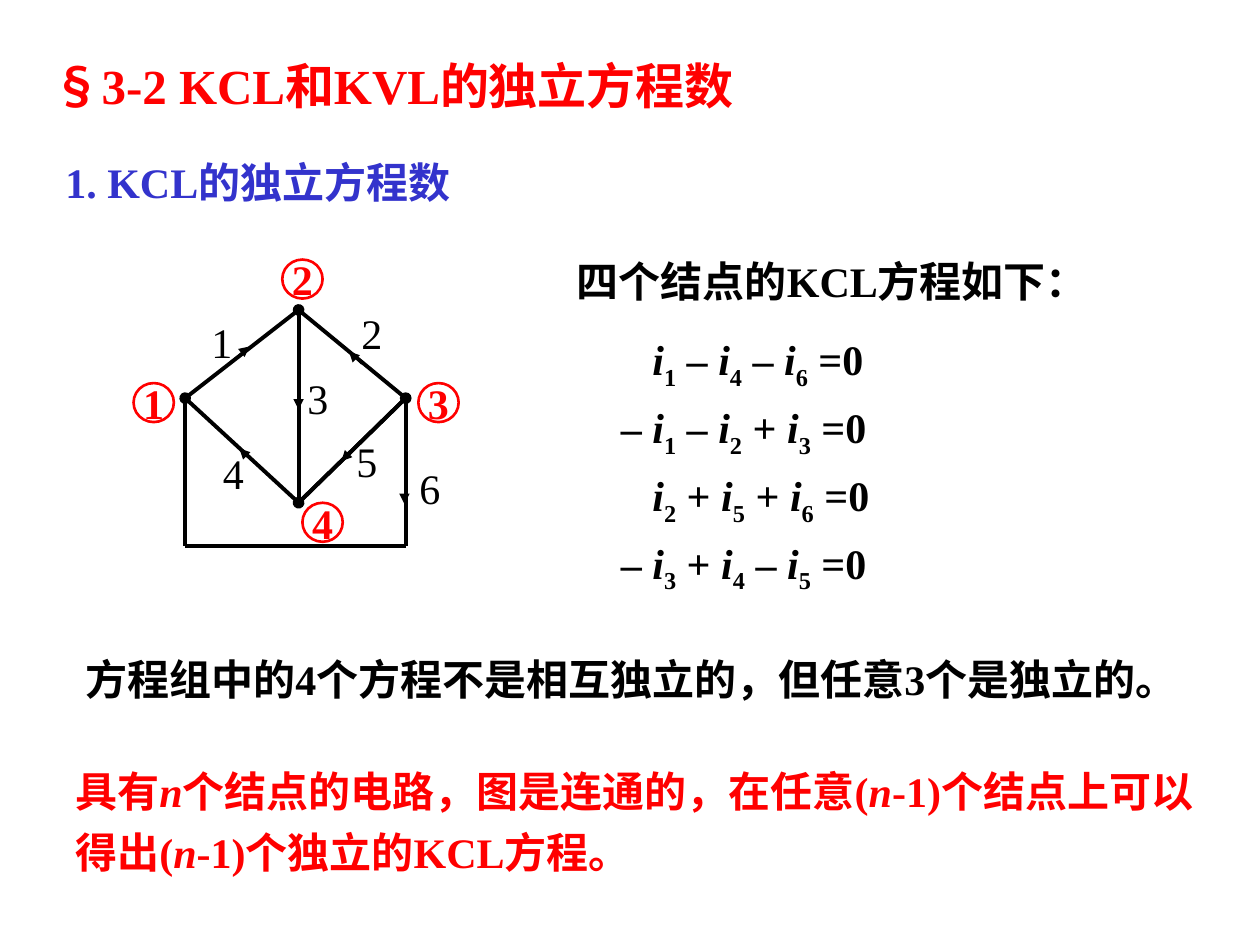
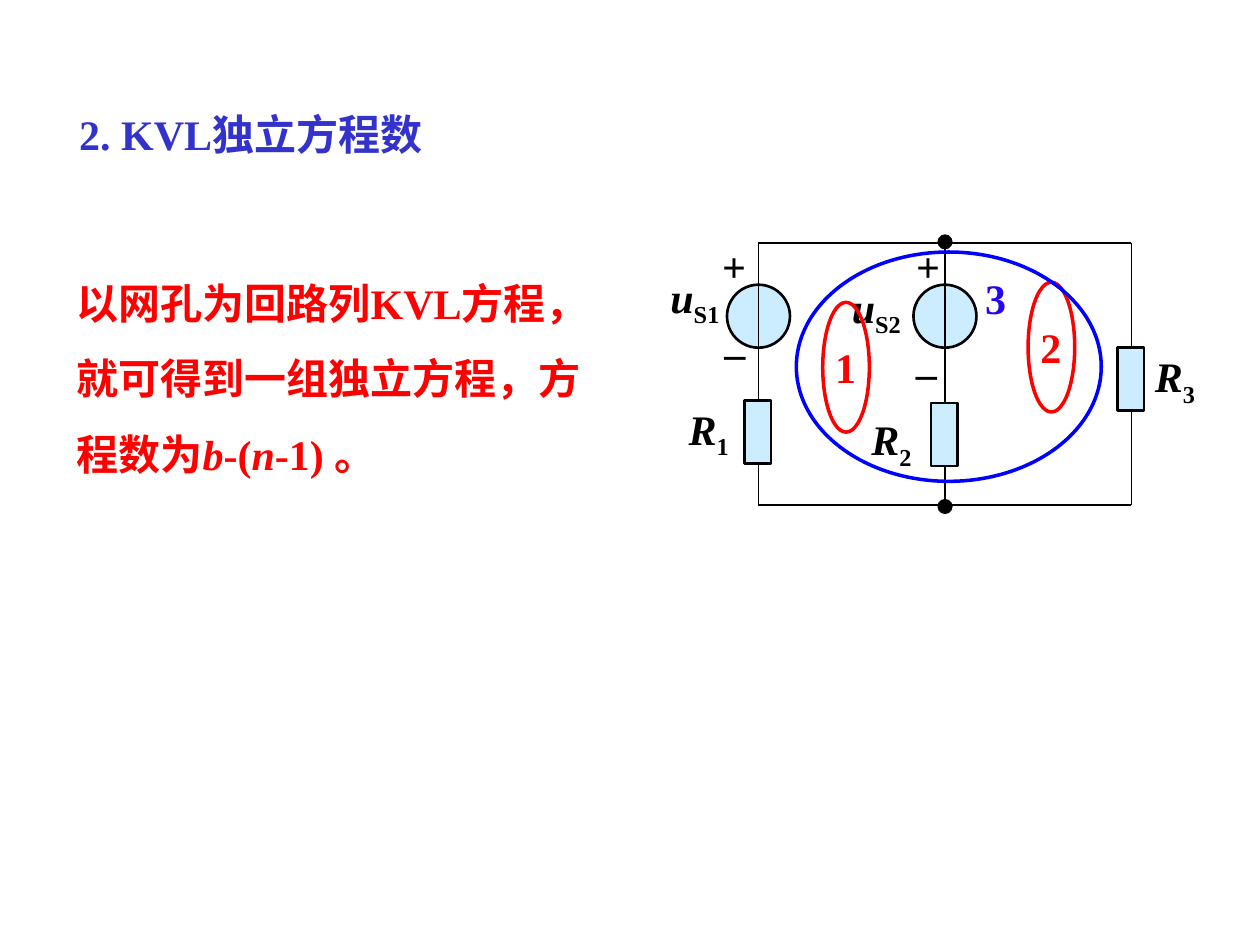
from pptx import Presentation
from pptx import util as u
from pptx.dml import color
from pptx.enum import shapes, text
from pptx.oxml import ns
from lxml import etree

PX = 9144
LATIN, CJK = "Times New Roman", "Noto Sans CJK SC"
BLACK, RED, HEADING, BLUE, VIOLET, PALE = (
    "000000", "FF0000", "3333CC", "0000FF", "2306F6", "CCECFF")
CENTER, MIDDLE = text.PP_ALIGN.CENTER, text.MSO_ANCHOR.MIDDLE
OVAL, RECTANGLE, ARC = (
    shapes.MSO_SHAPE.OVAL, shapes.MSO_SHAPE.RECTANGLE, shapes.MSO_SHAPE.ARC)


def rgb(value):
    """Turn a hex string into a colour."""
    return color.RGBColor.from_string(value)


def lengths(*values):
    """Turn px into EMU."""
    return [u.Emu(round(value * PX)) for value in values]


def add_run(paragraph, content, style="", size=24, ink=BLACK, bold=True, latin=LATIN):
    """Add one run; style is empty, italic or sub."""
    run = paragraph.add_run()
    run.text = content
    font = run.font
    font.size, font.name, font.bold = u.Pt(size), latin, bold
    font.italic = style == "italic"
    font.color.rgb = rgb(ink)
    properties = font._element
    etree.SubElement(properties, ns.qn("a:ea")).set("typeface", CJK)
    if style == "sub":
        properties.set("baseline", "-25000")


def add_text(slide, box, paragraphs, before=0, spacing=None, wrap=True,
             centered=False, indents=(), **font):
    """Add a text box whose paragraphs are lists of (content, style) runs."""
    frame = slide.shapes.add_textbox(*lengths(*box)).text_frame
    frame.word_wrap = wrap
    frame.auto_size = text.MSO_AUTO_SIZE.SHAPE_TO_FIT_TEXT
    if centered:
        frame.vertical_anchor = MIDDLE
    for number, runs in enumerate(paragraphs):
        paragraph = frame.add_paragraph() if number else frame.paragraphs[0]
        paragraph.space_before = u.Pt(before)
        if spacing:
            paragraph.line_spacing = spacing
        if centered:
            paragraph.alignment = CENTER
        properties = paragraph._p.get_or_add_pPr()
        properties.set("hangingPunct", "0")
        if indents and indents[number]:
            properties.set("marL", str(indents[number] * PX))
            properties.set("indent", "0")
        for content, style in runs:
            add_run(paragraph, content, style, **font)


def add_line(slide, start, end, width, head=None, tail=None):
    """Add a black straight line with optional end marks."""
    line = slide.shapes.add_connector(
        shapes.MSO_CONNECTOR.STRAIGHT, *lengths(*start, *end))
    line.line.color.rgb = rgb(BLACK)
    line.line.width = u.Pt(width)
    outline = line.line._get_or_add_ln()
    for tag, kind in (("a:headEnd", head), ("a:tailEnd", tail)):
        if kind:
            etree.SubElement(outline, ns.qn(tag)).set("type", kind)
    etree.SubElement(line._element.spPr, ns.qn("a:effectLst"))


def add_shape(slide, kind, box, fill=None, ink=None, width=1.5):
    """Add a preset shape with the given fill and outline, without a shadow."""
    shape = slide.shapes.add_shape(kind, *lengths(*box))
    shape.shadow.inherit = False
    if fill:
        shape.fill.solid()
        shape.fill.fore_color.rgb = rgb(fill)
    else:
        shape.fill.background()
    if ink:
        shape.line.color.rgb = rgb(ink)
        shape.line.width = u.Pt(width)
    else:
        shape.line.fill.background()
    return shape


def add_heading(slide, box, content):
    """Add a numbered section heading."""
    add_text(slide, box, [[(content, "")]], ink=HEADING)


def add_title(slide, box, content):
    """Add the chapter title after its section sign."""
    frame = slide.shapes.add_textbox(*lengths(*box)).text_frame
    frame.word_wrap = True
    paragraph = frame.paragraphs[0]
    add_run(paragraph, "§", size=28, ink=RED, latin=CJK)
    add_run(paragraph, content, size=28, ink=RED)


def draw_graph(slide, box):
    """Draw the directed graph with four nodes and six branches."""
    left, top = box

    def at(x, y):
        return left + x, top + y

    west, north, east, south = at(41, 110), at(131, 40), at(216, 110), at(131, 193)
    corners = at(41, 227), at(216, 227)
    branches = [(north, west, "oval", "oval"), (north, south, None, None),
                (west, south, None, "oval"), (north, east, None, None),
                (east, south, None, None), (west, corners[0], None, None),
                (*corners, None, None), (east, corners[1], "oval", None),
                (south, east, None, None)]
    for start, end, head, tail in branches:
        add_line(slide, start, end, 2.25, head, tail)

    arrows = [(181, 83, 171, 73), (77, 81, 92, 69), (131, 83, 131, 119),
              (94, 160, 84, 150), (184, 140, 165, 160), (215, 163, 215, 194)]
    for x1, y1, x2, y2 in arrows:
        add_line(slide, at(x1, y1), at(x2, y2), 0.75, tail="triangle")

    labels = [(52, 40, 31), (171, 33, 42), (128, 85, 35),
              (61, 144, 36), (167, 135, 42), (217, 156, 44)]
    for number, (x, y, width) in enumerate(labels, 1):
        add_text(slide, (*at(x, y), width, 50), [[(str(number), "")]], bold=False)

    for number, place in enumerate([(0, 98), (118, 0), (226, 98), (134, 193)], 1):
        node = add_shape(slide, OVAL, (*at(*place), 32, 31), ink=RED)
        frame = node.text_frame
        frame.word_wrap, frame.vertical_anchor = False, MIDDLE
        frame.paragraphs[0].alignment = CENTER
        add_run(frame.paragraphs[0], str(number), ink=RED)


def add_equations(slide, box, equations):
    """List current sums, each made of (sign, branch) terms equal to zero."""
    paragraphs = []
    for terms in equations:
        runs = []
        for sign, branch in terms:
            prefix = f" {sign} " if runs else f"{sign} ".lstrip()
            if prefix:
                runs.append((prefix, ""))
            runs += [("i", "italic"), (str(branch), "sub")]
        paragraphs.append(runs + [(" =0", "")])
    indents = [0 if terms[0][0] else 25 for terms in equations]
    add_text(slide, box, paragraphs, before=6, indents=indents)


def add_loop(slide, box, angles, ink, number, label, label_ink):
    """Draw an open elliptical loop between two angles, with its number."""
    arc = add_shape(slide, ARC, box, ink=ink, width=2)
    for index, angle in enumerate(angles):
        arc.adjustments[index] = angle * 0.6
    add_text(slide, (*label, 36, 50), [[(number, "")]],
             wrap=False, centered=True, ink=label_ink)


def draw_circuit(slide, box):
    """Draw two sources, three resistors and the three loops."""
    left, top = box

    def at(x, y):
        return left + x, top + y

    columns, height = (0, 148, 296), 208
    for x in columns[:2]:
        add_shape(slide, OVAL, (*at(x - 25, 33), 50, 50), fill=PALE, ink=BLACK)
    for x in columns:
        add_line(slide, at(x, 0), at(x, height), 1)
    for y in (0, height):
        add_line(slide, at(columns[0], y), at(columns[-1], y), 1)
    for y in (-1, height + 1):
        add_shape(slide, OVAL, (*at(columns[1] - 6, y - 6), 12, 12), fill=BLACK)
    for x, y in zip(columns, (125, 127, 83)):
        add_shape(slide, RECTANGLE, (*at(x - 11, y), 21, 50), fill=PALE, ink=BLACK)

    for sign, x, y, width in [("+", -39, -7, 39), ("_", -37, 50, 36),
                              ("+", 115, -7, 39), ("_", 115, 66, 36)]:
        add_text(slide, (*at(x, y), width, 50), [[(sign, "")]],
                 before=15, wrap=False, centered=True)
    for letter, index, x, y in [("R", "1", -79, 122), ("u", "S1", -90, 17),
                                ("u", "S2", 54, 25), ("R", "2", 66, 130),
                                ("R", "3", 291, 80)]:
        add_text(slide, (*at(x, y), 79, 56), [[(letter, "italic"), (index, "sub")]],
                 before=15, centered=True)

    for number, x, y in [("1", 51, 47), ("2", 214, 31)]:
        add_loop(slide, (*at(x, y), 37, 103), (-90, -104), RED,
                 number, at(x, y + 26), RED)
    add_loop(slide, (*at(30, 7), 242, 182), (-78, -90), BLUE,
             "3", at(170, 18), VIOLET)


def build_kcl(slide):
    """Build the slide on independent KCL equations."""
    add_title(slide, (32, 39, 634, 56), "3-2 KCL和KVL的独立方程数")
    add_heading(slide, (42, 119, 411, 50), "1. KCL的独立方程数")
    draw_graph(slide, (106, 206))
    add_text(slide, (448, 198, 469, 50), [[("四个结点的KCL方程如下：", "")]], before=15)
    add_equations(slide, (483, 260, 354, 217), [
        [("", 1), ("–", 4), ("–", 6)],
        [("–", 1), ("–", 2), ("+", 3)],
        [("", 2), ("+", 5), ("+", 6)],
        [("–", 3), ("+", 4), ("–", 5)]])
    add_text(slide, (58, 510, 922, 54),
             [[("方程组中的4个方程不是相互独立的，但任意3个是独立的。", "")]],
             before=15, spacing=1.1)
    add_text(slide, (50, 595, 923, 106), [[
        ("具有", ""), ("n", "italic"), ("个结点的电路，图是连通的，在任意(", ""),
        ("n", "italic"), ("-1)个结点上可以得出(", ""), ("n", "italic"),
        ("-1)个独立的KCL方程。", "")]], before=18, spacing=1.2, ink=RED)


def build_kvl(slide):
    """Build the slide on independent KVL equations."""
    add_heading(slide, (53, 81, 368, 50), "2. KVL独立方程数")
    add_text(slide, (51, 195, 433, 190), [[
        ("以网孔为回路列KVL方程，就可得到一组独立方程，方程数为", ""),
        ("b", "italic"), ("-(", ""), ("n", "italic"), ("-1) 。", "")]],
        spacing=1.5, ink=RED)
    draw_circuit(slide, (602, 193))


def main():
    """Build and save the presentation."""
    presentation = Presentation()
    presentation.slide_width, presentation.slide_height = lengths(1000, 750)
    for build in (build_kcl, build_kvl):
        build(presentation.slides.add_slide(presentation.slide_layouts[6]))
    presentation.save("out.pptx")


if __name__ == "__main__":
    main()
